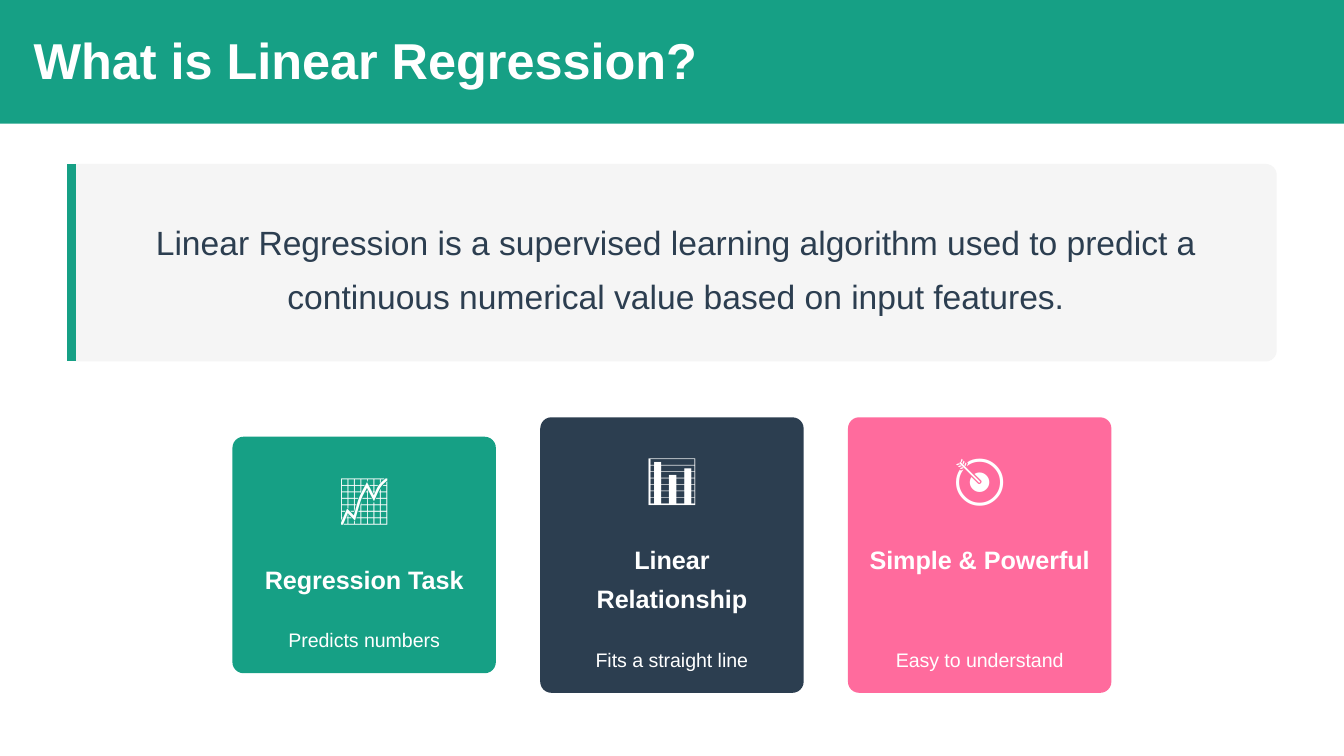
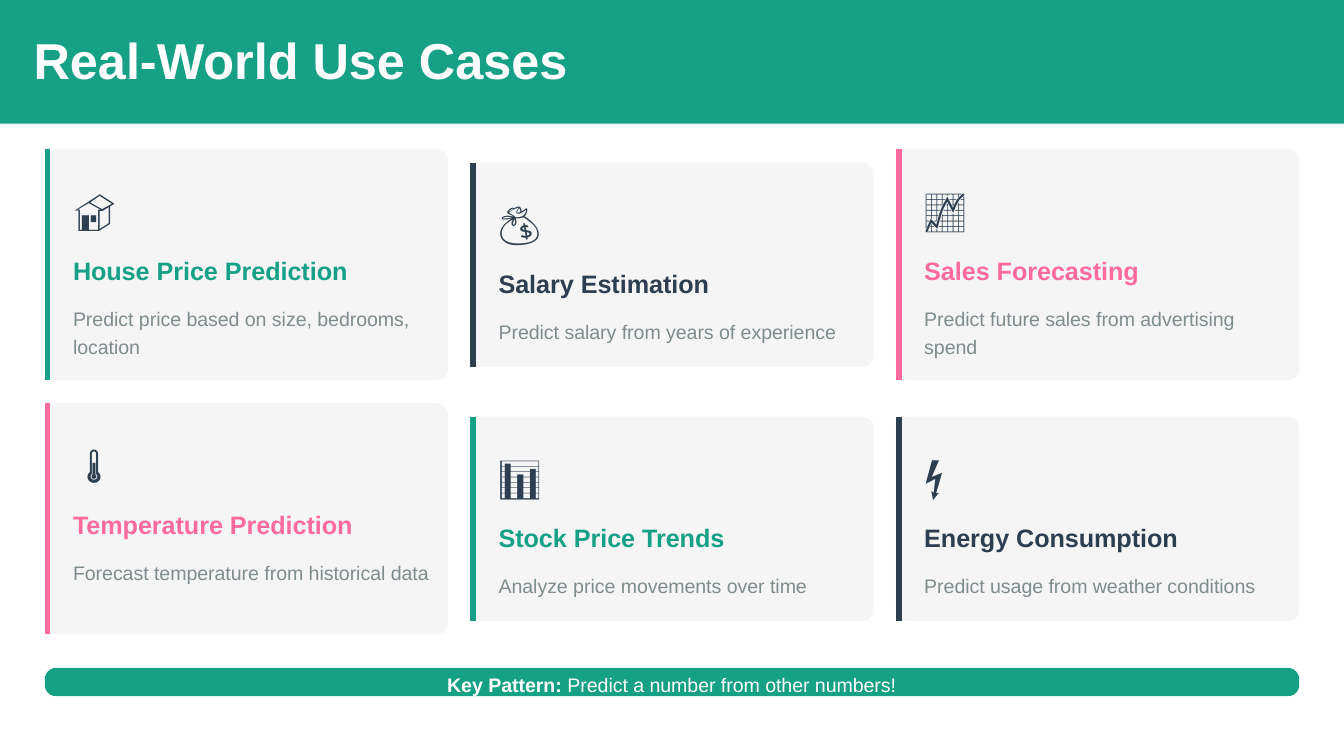
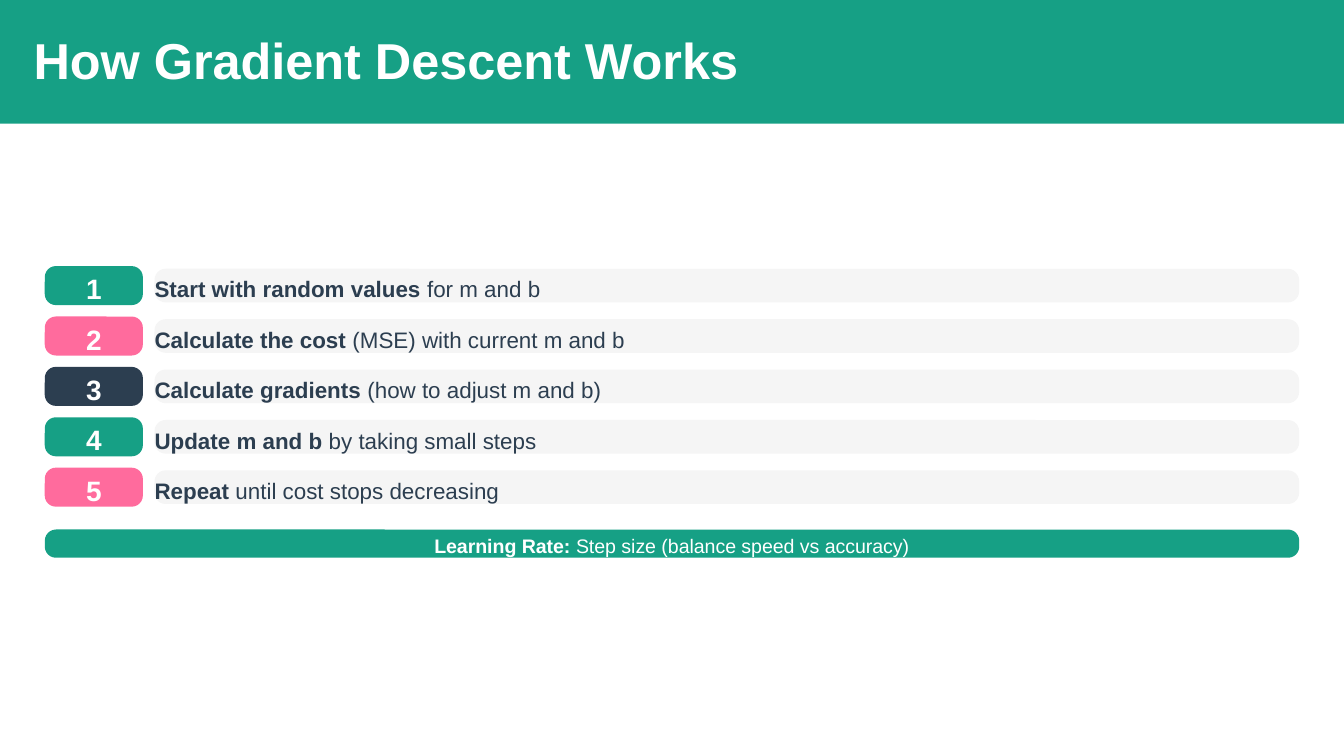
from lxml import etree
from pptx import Presentation
from pptx import util as u
from pptx.dml.color import RGBColor
from pptx.enum import shapes, text
from pptx.oxml import ns

# Shared look
GREEN, NAVY, PINK = "16A085", "2C3E50", "FF6B9D"
PALE, GREY, WHITE = "F5F5F5", "7F8C8D", "FFFFFF"
FONT = "Arial"
WIDTH, HEIGHT = 10, 5.625
BAND = 0.92
MARGIN = WIDTH / 30
CONTENT = WIDTH - 2 * MARGIN
RADIUS = 0.083
LEFT, CENTER = text.PP_ALIGN.LEFT, text.PP_ALIGN.CENTER


def rgb(color):
    return RGBColor.from_string(color)


def inches(*lengths):
    return [u.Inches(n) for n in lengths]


def add_box(slide, x, y, w, h, color, rounded=True):
    kind = shapes.MSO_SHAPE.ROUNDED_RECTANGLE if rounded else shapes.MSO_SHAPE.RECTANGLE
    sp = slide.shapes.add_shape(kind, *inches(x, y, w, h))
    if rounded:
        sp.adjustments[0] = RADIUS / min(w, h)
    sp.shadow.inherit = False
    sp.fill.solid()
    sp.fill.fore_color.rgb = rgb(color)
    sp.line.fill.background()
    return sp


def write(sp, content, size, spacing, color, bold=False, align=LEFT, top=0):
    """Fill a text shape; a (lead, rest) pair gets a bold lead."""
    tf = sp.text_frame
    tf.word_wrap = True
    tf.auto_size = text.MSO_AUTO_SIZE.NONE
    tf.vertical_anchor = text.MSO_ANCHOR.TOP
    tf.margin_left = tf.margin_right = tf.margin_bottom = 0
    tf.margin_top = u.Pt(top)
    p = tf.paragraphs[0]
    if isinstance(content, tuple):
        lead, rest = content
        p.text = lead
        p.add_run().text = rest
    else:
        p.text = content
    p.alignment = align
    p.line_spacing = u.Pt(spacing)
    for i, r in enumerate(p.runs):
        r.font.name = FONT
        r.font.size = u.Pt(size)
        r.font.color.rgb = rgb(color)
        r.font.bold = i == 0 if isinstance(content, tuple) else bold


def add_text(slide, x, y, w, h, content, size, spacing, color, **style):
    sp = slide.shapes.add_textbox(*inches(x, y, w, h))
    write(sp, content, size, spacing, color, **style)


def add_accent(slide, x, y, h, color, weight):
    x += weight / 144  # keep the stroke inside the card
    line = slide.shapes.add_connector(
        shapes.MSO_CONNECTOR.STRAIGHT, *inches(x, y, x, y + h))
    line.line.color.rgb = rgb(color)
    line.line.width = u.Pt(weight)
    etree.SubElement(line._element.spPr, ns.qn("a:effectLst"))


def add_slide(prs, title):
    slide = prs.slides.add_slide(prs.slide_layouts[5])
    band = add_box(slide, 0, 0, WIDTH, BAND, GREEN, rounded=False)
    slide.shapes._spTree.insert(2, band._element)  # behind the title
    sp = slide.shapes.title
    sp.left, sp.top, sp.width, sp.height = inches(0.25, 0.25, 5.36, 0.42)
    write(sp, title, 27, 30, WHITE, bold=True)
    return slide


def add_feature(slide, column, color, icon, heading, caption, lines, heading_w):
    w, h = 1.96, 1.47 + 0.29 * lines
    x, y = 1.73 + 2.29 * column, 4.13 - h / 2
    center = x + w / 2
    add_box(slide, x, y, w, h, color)
    add_text(slide, center - 0.24, y + 0.21, 0.48, 0.42, icon, 27, 30, WHITE,
             align=CENTER, top=3)
    add_text(slide, center - heading_w / 2, y + 0.88, heading_w, 0.29 * lines,
             heading, 13.5, 21, WHITE, bold=True, align=CENTER)
    add_text(slide, center - 0.64, y + h - 0.37, 1.28, 0.21, caption, 10.5, 15,
             WHITE, align=CENTER)


def add_use_case(slide, index, color, icon, heading, detail, lines):
    row, column = divmod(index, 3)
    w, h = 3, 1.32 + 0.2 * lines
    x = MARGIN + column * (w + MARGIN / 2)
    y = 1.97 + 1.89 * row - h / 2
    add_box(slide, x, y, w, h, PALE)
    add_accent(slide, x, y, h, color, 3)
    x_text, w_text = x + 0.21, 2.68
    add_text(slide, x_text, y + 0.21, w_text, 0.38, icon, 22.5, 27, NAVY, top=3)
    add_text(slide, x_text, y + 0.72, w_text, 0.29, heading, 13.5, 21, color, bold=True)
    add_text(slide, x_text, y + 1.14, w_text, 0.21 * lines, detail, 10.5, 15, GREY)


def add_step(slide, index, color, content):
    y = 1.98 + index * 1.5 / 4
    badge_w, bar_x = 0.73, 1.15
    add_box(slide, MARGIN, y, badge_w, 0.29, color)
    add_text(slide, MARGIN + badge_w / 2 - 0.06, y, 0.12, 0.29, str(index + 1),
             15, 21, WHITE, bold=True, align=CENTER)
    add_box(slide, bar_x, y + 0.02, WIDTH - MARGIN - bar_x, 0.25, PALE)
    add_text(slide, bar_x, y + 0.02, 8.69, 0.25, content, 12, 18, NAVY)


def add_takeaway(slide, y, content):
    w = 3.63
    add_box(slide, MARGIN, y, CONTENT, 0.21, GREEN)
    add_text(slide, (WIDTH - w) / 2, y, w, 0.21, content, 10.5, 15, WHITE, align=CENTER)


def build_definition(prs):
    slide = add_slide(prs, "What is Linear Regression?")
    x, y, w, h = 0.5, 1.22, 9, 1.47
    add_box(slide, x, y, w, h, PALE)
    add_accent(slide, x, y, h, GREEN, 4.5)
    add_text(slide, 0.81, 1.55, 8.44, 0.8,
             "Linear Regression is a supervised learning algorithm used to predict "
             "a continuous numerical value based on input features.",
             18, 28.8, NAVY, align=CENTER)
    features = [
        (GREEN, "📈", "Regression Task", "Predicts numbers", 1, 1.52),
        (NAVY, "📊", "Linear Relationship", "Fits a straight line", 2, 1.66),
        (PINK, "🎯", "Simple & Powerful", "Easy to understand", 2, 1.66),
    ]
    for column, feature in enumerate(features):
        add_feature(slide, column, *feature)


def build_use_cases(prs):
    slide = add_slide(prs, "Real-World Use Cases")
    cases = [
        (GREEN, "🏠", "House Price Prediction",
         "Predict price based on size, bedrooms, location", 2),
        (NAVY, "💰", "Salary Estimation", "Predict salary from years of experience", 1),
        (PINK, "📈", "Sales Forecasting",
         "Predict future sales from advertising spend", 2),
        (PINK, "🌡️", "Temperature Prediction",
         "Forecast temperature from historical data", 2),
        (GREEN, "📊", "Stock Price Trends", "Analyze price movements over time", 1),
        (NAVY, "⚡", "Energy Consumption", "Predict usage from weather conditions", 1),
    ]
    for index, case in enumerate(cases):
        add_use_case(slide, index, *case)
    add_takeaway(slide, 4.97, ("Key Pattern:", " Predict a number from other numbers!"))


def build_gradient_descent(prs):
    slide = add_slide(prs, "How Gradient Descent Works")
    steps = [
        (GREEN, ("Start with random values", " for m and b")),
        (PINK, ("Calculate the cost", " (MSE) with current m and b")),
        (NAVY, ("Calculate gradients", " (how to adjust m and b)")),
        (GREEN, ("Update m and b", " by taking small steps")),
        (PINK, ("Repeat", " until cost stops decreasing")),
    ]
    for index, step in enumerate(steps):
        add_step(slide, index, *step)
    add_takeaway(slide, 3.94, ("Learning Rate:", " Step size (balance speed vs accuracy)"))


def main():
    prs = Presentation()
    prs.slide_width, prs.slide_height = inches(WIDTH, HEIGHT)
    build_definition(prs)
    build_use_cases(prs)
    build_gradient_descent(prs)
    prs.save("out.pptx")


if __name__ == "__main__":
    main()
